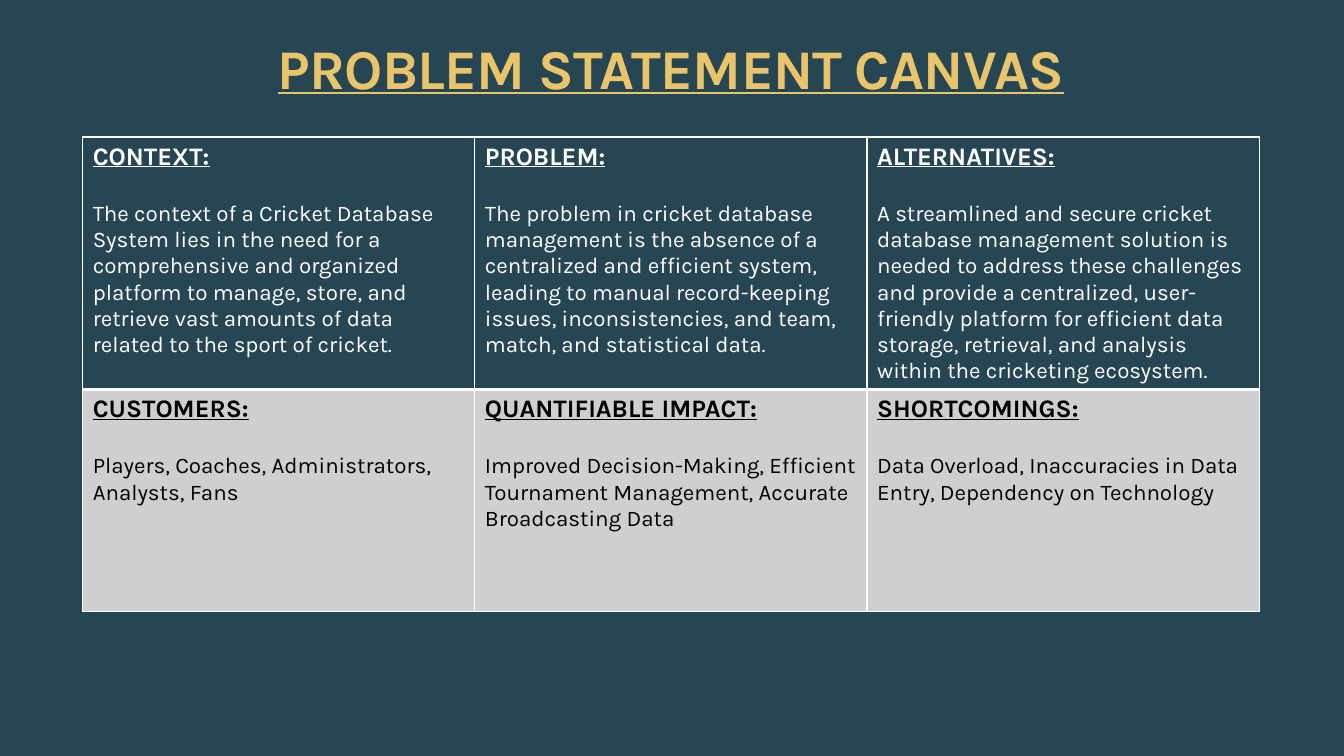
from lxml.etree import SubElement
from pptx import Presentation
from pptx.dml.color import RGBColor as RGB
from pptx.enum.text import MSO_ANCHOR, PP_ALIGN
from pptx.oxml.ns import qn
from pptx.util import Inches, Pt

FONT = "Karla"
COLORS = {"navy": "264653", "gold": "E9C46A", "white": "FFFFFF",
          "black": "000000", "gray": "CDCFD1"}
WIDTH, HEIGHT = 13.33, 7.5
MARGIN = 0.82
CONTENT_W = 11.67
ROW_HEIGHTS = (2.44, 2.2)
ROW_COLORS = (("navy", "white"), ("gray", "black"))
CANVAS = (
    (
        ("CONTEXT:", ["The context of a Cricket Database System lies in the need for a "
                      "comprehensive and organized platform to manage, store, and retrieve "
                      "vast amounts of data related to the sport of cricket."]),
        ("PROBLEM:", ["The problem in cricket database management is the absence of a "
                      "centralized and efficient system, leading to manual record-keeping "
                      "issues, inconsistencies, and team, match, and statistical data."]),
        ("ALTERNATIVES:", ["A streamlined and secure cricket database management solution is "
                           "needed to address these challenges and provide a centralized, "
                           "user-friendly platform for efficient data storage, retrieval, and "
                           "analysis within the cricketing ecosystem."]),
    ),
    (
        ("CUSTOMERS:", ["Players, Coaches, Administrators,", "Analysts, Fans"]),
        ("QUANTIFIABLE IMPACT:", ["Improved Decision-Making, Efficient Tournament Management, "
                                  "Accurate Broadcasting Data"]),
        ("SHORTCOMINGS:", ["Data Overload, Inaccuracies in Data Entry, "
                           "Dependency on Technology"]),
    ),
)


def rgb(name):
    return RGB.from_string(COLORS[name])


def style(p, size, color, heading):
    for r in p.runs:
        font = r.font
        font.name, font.size = FONT, Pt(size)
        font.bold = font.underline = heading
        font.color.rgb = rgb(color)


def add_title(s, text, left, top, width, height):
    sp = s.shapes.title
    sp.left, sp.top, sp.width, sp.height = map(Inches, (left, top, width, height))
    tf = sp.text_frame
    tf.text = text
    tf.word_wrap = True
    tf.vertical_anchor = MSO_ANCHOR.BOTTOM
    tf.margin_left = tf.margin_top = tf.margin_right = tf.margin_bottom = 0
    p = tf.paragraphs[0]
    p.alignment = PP_ALIGN.CENTER
    style(p, 40, "gold", True)
    p.runs[0].font._element.set("spc", "-50")


def set_borders(cell, widths):
    """Draw white borders; widths maps L, R, T and B to points."""
    tcPr = cell._tc.get_or_add_tcPr()
    for side, width in widths.items():
        ln = SubElement(tcPr, qn(f"a:ln{side}"), w=str(Pt(width)))
        fill = SubElement(ln, qn("a:solidFill"))
        SubElement(fill, qn("a:srgbClr"), val=COLORS["white"])


def fill_cell(cell, heading, body, color):
    tf = cell.text_frame
    tf.text = "\n".join([heading, *body])
    first, *rest = tf.paragraphs
    style(first, 18, color, True)
    for p in rest:
        style(p, 16, color, False)
    rest[0].space_before = Pt(21)


def add_canvas(s, left, top, width):
    rows, cols = len(CANVAS), len(CANVAS[0])
    frame = s.shapes.add_table(rows, cols, Inches(left), Inches(top),
                               Inches(width), Inches(sum(ROW_HEIGHTS)))
    table = frame.table
    for i, (entries, (fill, color)) in enumerate(zip(CANVAS, ROW_COLORS)):
        table.rows[i].height = Inches(ROW_HEIGHTS[i])
        for j, (heading, body) in enumerate(entries):
            cell = table.cell(i, j)
            set_borders(cell, {"L": 1, "R": 1, "T": 3 if i else 1,
                               "B": 1 if i else 3})
            cell.fill.solid()
            cell.fill.fore_color.rgb = rgb(fill)
            fill_cell(cell, heading, body, color)


def main():
    prs = Presentation()
    prs.slide_width, prs.slide_height = Inches(WIDTH), Inches(HEIGHT)
    s = prs.slides.add_slide(prs.slide_layouts[5])
    s.background.fill.solid()
    s.background.fill.fore_color.rgb = rgb("navy")
    add_title(s, "PROBLEM STATEMENT CANVAS", MARGIN, 0.33, CONTENT_W, 0.67)
    add_canvas(s, MARGIN, 1.36, CONTENT_W)
    prs.save("out.pptx")


if __name__ == "__main__":
    main()
